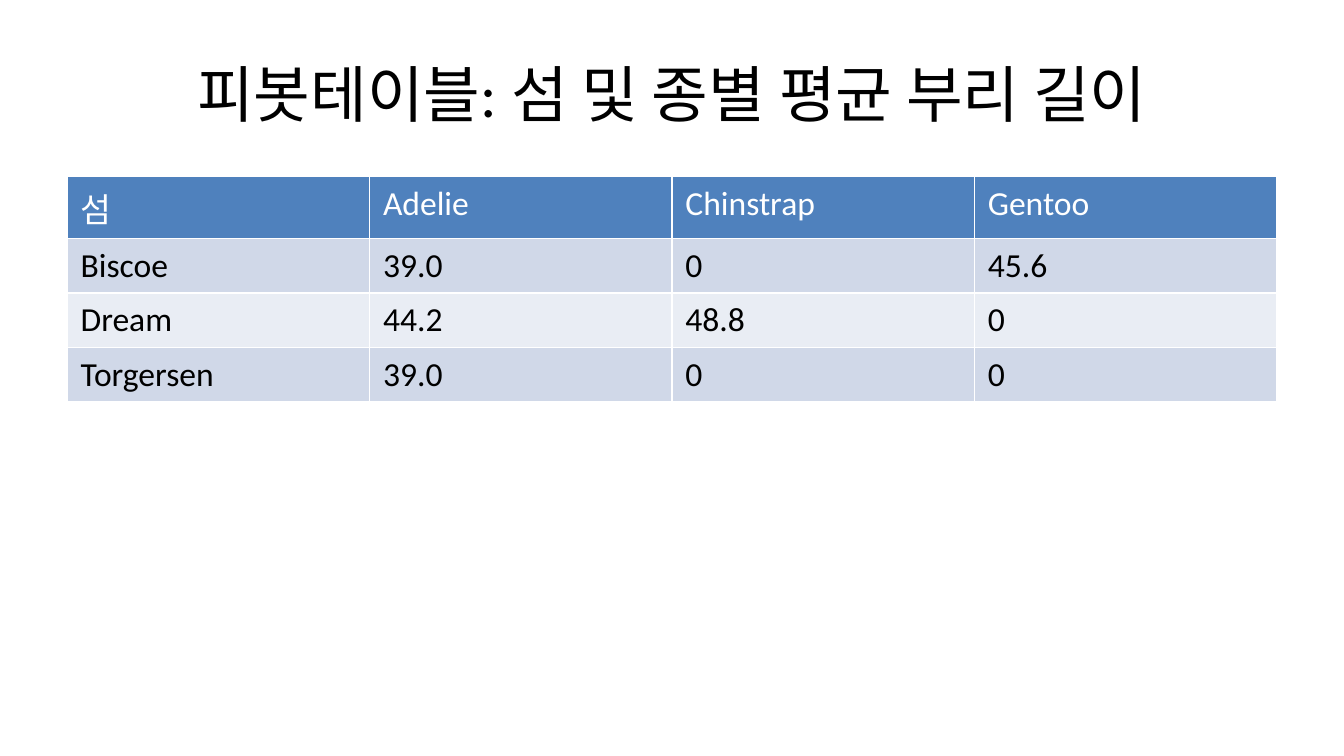
"""Build a slide with a pivot table of mean bill length by island and species."""
from pptx import Presentation
from pptx.dml.color import RGBColor
from pptx.enum.text import MSO_ANCHOR, MSO_AUTO_SIZE, PP_ALIGN
from pptx.util import Pt

BLACK = RGBColor(0x00, 0x00, 0x00)
WHITE = RGBColor(0xFF, 0xFF, 0xFF)
HEADER_BLUE = RGBColor(0x4F, 0x81, 0xBD)
BAND_DARK = RGBColor(0xD0, 0xD8, 0xE8)
BAND_LIGHT = RGBColor(0xE9, 0xED, 0xF4)
FONT = "Calibri"

ROWS = [
    ("섬", "Adelie", "Chinstrap", "Gentoo"),
    ("Biscoe", "39.0", "0", "45.6"),
    ("Dream", "44.2", "48.8", "0"),
    ("Torgersen", "39.0", "0", "0"),
]
LEFT, WIDTH = Pt(36), Pt(648)
HEADER_HEIGHT, BODY_HEIGHT = Pt(32.7), Pt(29.1)


def style_text(frame, size, color):
    for paragraph in frame.paragraphs:
        for span in paragraph.runs:
            span.font.name = FONT
            span.font.size = Pt(size)
            span.font.bold = False
            span.font.color.rgb = color


deck = Presentation()
deck.slide_width, deck.slide_height = Pt(720), Pt(405)
page = deck.slides.add_slide(deck.slide_layouts[5])

title = page.shapes.title
title.left, title.top, title.width, title.height = LEFT, Pt(16.2), WIDTH, Pt(67.5)
title.text_frame.text = "피봇테이블: 섬 및 종별 평균 부리 길이"
title.text_frame.auto_size = MSO_AUTO_SIZE.NONE
title.text_frame.vertical_anchor = MSO_ANCHOR.MIDDLE
title.text_frame.paragraphs[0].alignment = PP_ALIGN.CENTER
style_text(title.text_frame, 33, BLACK)

table_height = HEADER_HEIGHT + BODY_HEIGHT * (len(ROWS) - 1)
table = page.shapes.add_table(
    len(ROWS), len(ROWS[0]), LEFT, Pt(94.5), WIDTH, table_height
).table

for row_index, values in enumerate(ROWS):
    is_header = row_index == 0
    table.rows[row_index].height = HEADER_HEIGHT if is_header else BODY_HEIGHT
    band = BAND_DARK if row_index % 2 else BAND_LIGHT
    for column_index, value in enumerate(values):
        cell = table.cell(row_index, column_index)
        cell.text_frame.text = value
        cell.fill.solid()
        cell.fill.fore_color.rgb = HEADER_BLUE if is_header else band
        style_text(cell.text_frame, 18, WHITE if is_header else BLACK)

deck.save("out.pptx")
